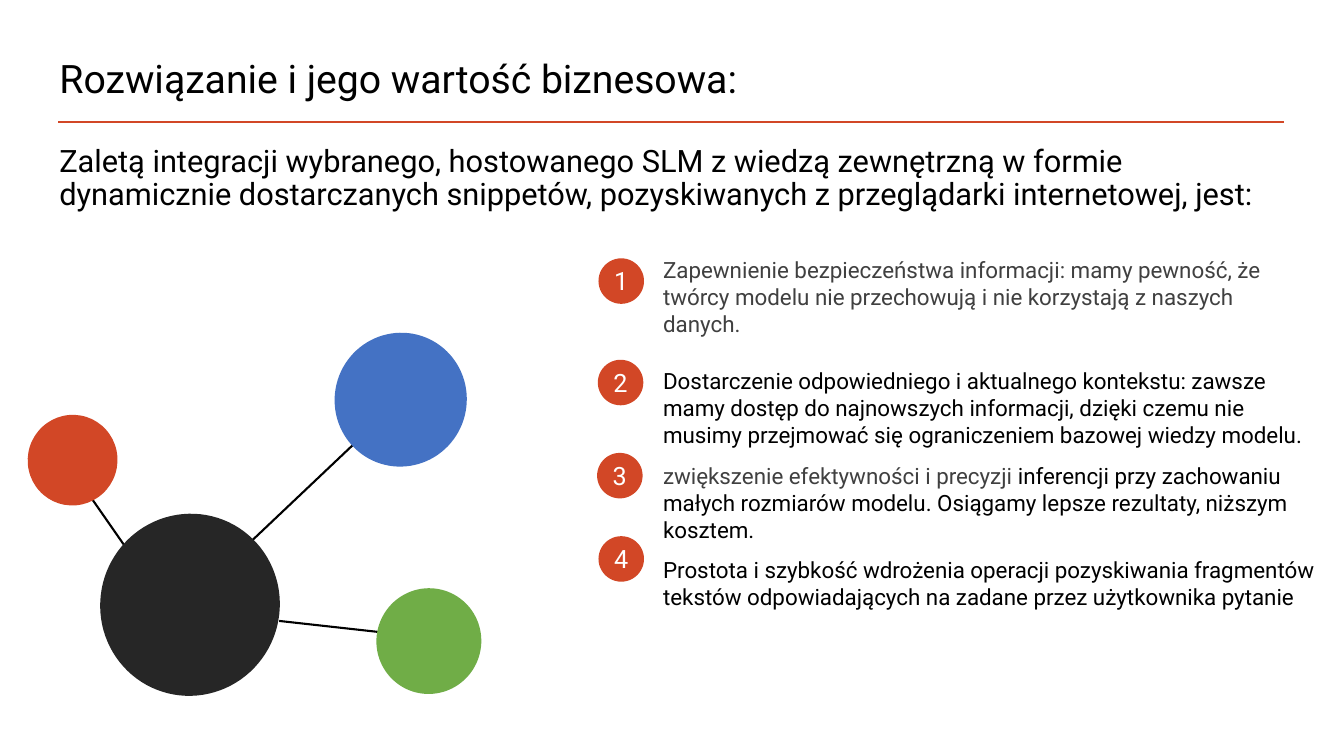
from lxml import etree
from pptx import Presentation
from pptx.dml.color import RGBColor
from pptx.enum.shapes import MSO_CONNECTOR, MSO_SHAPE
from pptx.enum.text import MSO_ANCHOR, MSO_AUTO_SIZE, PP_ALIGN
from pptx.oxml.ns import qn
from pptx.util import Pt

LEFT, CENTER = PP_ALIGN.LEFT, PP_ALIGN.CENTER
TOP, MIDDLE = MSO_ANCHOR.TOP, MSO_ANCHOR.MIDDLE
OVAL, STRAIGHT = MSO_SHAPE.OVAL, MSO_CONNECTOR.STRAIGHT
NO_AUTOFIT = MSO_AUTO_SIZE.NONE

BLACK = RGBColor(0x00, 0x00, 0x00)
WHITE = RGBColor(0xFF, 0xFF, 0xFF)
CHARCOAL = RGBColor(0x26, 0x26, 0x26)
GRAY = RGBColor(0x40, 0x40, 0x40)
ORANGE = RGBColor(0xD2, 0x47, 0x26)
BLUE = RGBColor(0x44, 0x72, 0xC4)
GREEN = RGBColor(0x70, 0xAD, 0x47)

BADGE_SIZE = 32.5
LABEL_WIDTH, LABEL_HEIGHT = 44, 29
BADGES = [(427.5, 184.5), (427, 257), (426.5, 323.5), (427.5, 383)]

# Each benefit: space after, then its runs as (text, colour)
BENEFITS = [
    (12, [("Zapewnienie bezpieczeństwa informacji: mamy pewność, że twórcy modelu "
           "nie przechowują i nie korzystają z naszych danych.", GRAY)]),
    (0, [("Dostarczenie odpowiedniego i aktualnego kontekstu: zawsze mamy dostęp do "
          "najnowszych informacji, dzięki czemu nie musimy przejmować się "
          "ograniczeniem bazowej wiedzy modelu.", BLACK)]),
    (0, [("zwiększenie efektywności i precyzji ", GRAY),
         ("inferencji przy zachowaniu małych rozmiarów modelu. Osiągamy lepsze "
          "rezultaty, niższym kosztem.", BLACK)]),
    (0, [("Prostota i szybkość wdrożenia operacji pozyskiwania fragmentów tekstów "
          "odpowiadających na zadane przez użytkownika pytanie", BLACK)]),
]

LINKS = [(257.76, 312.48, 176.4, 389.52), (277.2, 452.16, 199.44, 443.52),
         (100.8, 406.8, 66.24, 357.12)]
NODES = [(238.32, 238.32, 95.76, 94.32, BLUE), (268.56, 420.48, 75.6, 74.88, GREEN),
         (19.44, 296.64, 64.8, 64.08, ORANGE), (70.56, 367.92, 130.32, 128.16, CHARCOAL)]


class SlideBuilder:
    font = "Roboto"

    def __init__(self, presentation):
        self.slide = presentation.slides.add_slide(presentation.slide_layouts[5])
        self.shapes = self.slide.shapes

    def start_group(self):
        """Send the elements that follow into a new group."""
        self.shapes = self.slide.shapes.add_group_shape().shapes

    def add_run(self, paragraph, text, size, color):
        run = paragraph.add_run()
        run.text = text
        run.font.name = self.font
        run.font.size = Pt(size)
        run.font.color.rgb = color

    def format_frame(self, frame, anchor=TOP):
        frame.word_wrap = True
        frame.auto_size = NO_AUTOFIT
        frame.vertical_anchor = anchor

    def title(self, text, left, top, width, height):
        shape = self.slide.shapes.title
        shape.left, shape.top, shape.width, shape.height = map(
            Pt, (left, top, width, height))
        self.format_frame(shape.text_frame, MIDDLE)
        paragraph = shape.text_frame.paragraphs[0]
        paragraph.alignment = LEFT
        paragraph.line_spacing = 0.9
        self.add_run(paragraph, text, 28, BLACK)

    def text(self, paragraphs, left, top, width, height, size,
             align=LEFT, line_spacing=1.0, space_before=0):
        """Add a text box; each paragraph is (space after, [(text, colour), ...])."""
        box = self.shapes.add_textbox(Pt(left), Pt(top), Pt(width), Pt(height))
        frame = box.text_frame
        self.format_frame(frame)
        for index, (space_after, runs) in enumerate(paragraphs):
            paragraph = frame.add_paragraph() if index else frame.paragraphs[0]
            paragraph.alignment = align
            paragraph.line_spacing = line_spacing
            paragraph.space_before = Pt(space_before)
            paragraph.space_after = Pt(space_after)
            for text, color in runs:
                self.add_run(paragraph, text, size, color)

    def circle(self, left, top, width, height, color, rotation=0):
        shape = self.shapes.add_shape(OVAL, Pt(left), Pt(top), Pt(width), Pt(height))
        shape.rotation = rotation
        shape.shadow.inherit = False
        shape.fill.solid()
        shape.fill.fore_color.rgb = color
        shape.line.fill.background()

    def line(self, x1, y1, x2, y2, color, width):
        connector = self.shapes.add_connector(STRAIGHT, Pt(x1), Pt(y1), Pt(x2), Pt(y2))
        connector.line.color.rgb = color
        connector.line.width = Pt(width)
        etree.SubElement(connector.element.spPr, qn("a:effectLst"))

    def badge(self, number, left, top):
        self.circle(left, top, BADGE_SIZE, BADGE_SIZE, ORANGE)
        self.text([(0, [(str(number), WHITE)])],
                  left + (BADGE_SIZE - LABEL_WIDTH) / 2,
                  top + (BADGE_SIZE - LABEL_HEIGHT) / 2,
                  LABEL_WIDTH, LABEL_HEIGHT, 18, align=CENTER)


def main():
    presentation = Presentation()
    presentation.slide_width, presentation.slide_height = Pt(960), Pt(540)
    builder = SlideBuilder(presentation)

    builder.line(41.76, 87.12, 917.28, 87.12, ORANGE, 2)
    builder.title("Rozwiązanie i jego wartość biznesowa:", 35.28, 32.4, 720, 50.4)
    introduction = ("Zaletą integracji wybranego, hostowanego SLM z wiedzą zewnętrzną w "
                    "formie dynamicznie dostarczanych snippetów, pozyskiwanych z "
                    "przeglądarki internetowej, jest:")
    builder.text([(0, [(introduction, BLACK)])], 35.28, 100.8, 889.92, 83.52, 22,
                 line_spacing=0.9, space_before=10)

    for number, (left, top) in enumerate(BADGES, start=1):
        builder.badge(number, left, top)
    builder.text(BENEFITS, 466.56, 179.28, 480.96, 287.28, 16, space_before=10)

    builder.start_group()
    for link in LINKS:
        builder.line(*link, BLACK, 1.5)
    for node in NODES:
        builder.circle(*node, rotation=107.7)

    presentation.save("out.pptx")


if __name__ == "__main__":
    main()
